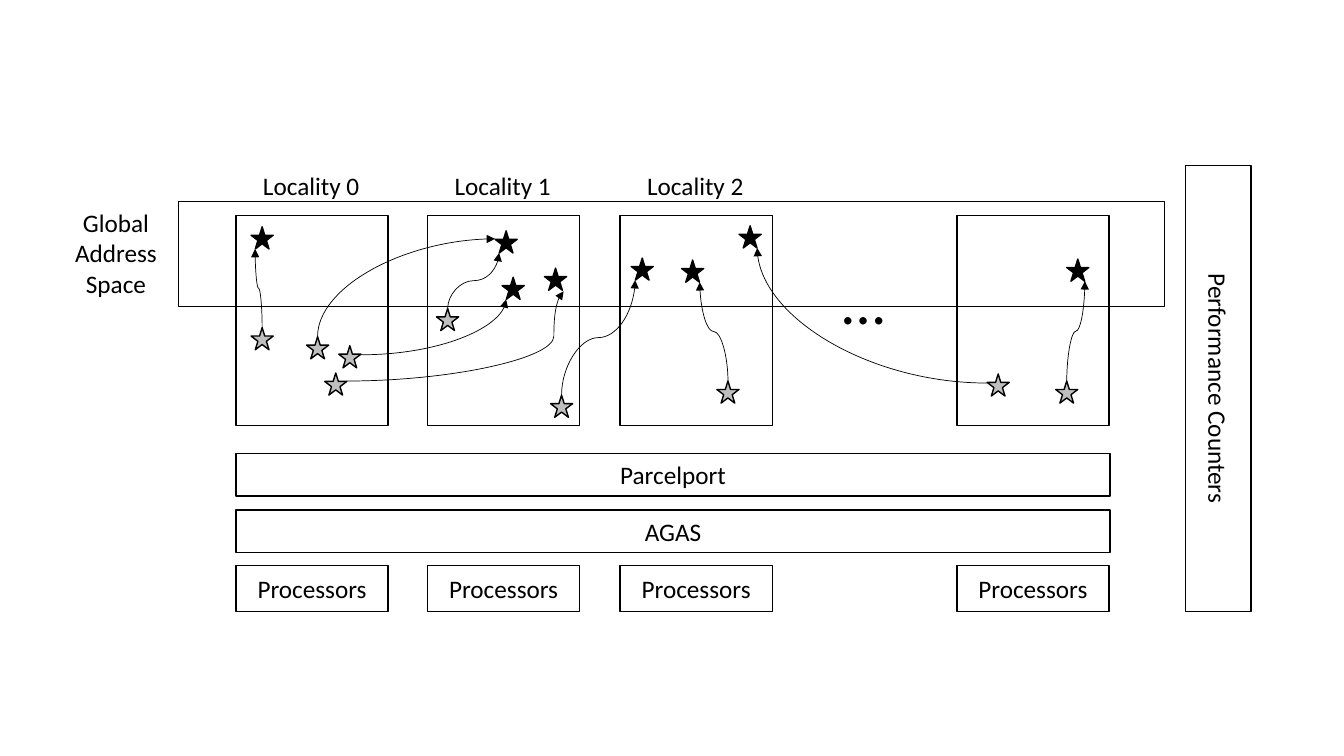
"""Draws localities sharing a global address space above the runtime layers."""
from lxml.etree import SubElement
from pptx import Presentation
from pptx.dml.color import RGBColor
from pptx.enum.shapes import MSO_CONNECTOR, MSO_SHAPE
from pptx.enum.text import MSO_ANCHOR, MSO_AUTO_SIZE, PP_ALIGN
from pptx.oxml.ns import qn
from pptx.util import Inches, Pt


def color(code):
    return RGBColor.from_string(code)


def add_item(kind, left, top, width, height, text="", size=18, align=PP_ALIGN.CENTER, fill=None):
    place = [Inches(value) for value in (left, top, width, height)]
    if kind is None:
        box = page.shapes.add_textbox(*place)
        box.text_frame.word_wrap = False
        box.text_frame.auto_size = MSO_AUTO_SIZE.SHAPE_TO_FIT_TEXT
    else:
        box = page.shapes.add_shape(kind, *place)
        box.shadow.inherit = False
        box.line.color.rgb = color("000000")
        box.line.width = Pt(1)
        box.text_frame.vertical_anchor = MSO_ANCHOR.MIDDLE
        if fill:
            box.fill.solid()
            box.fill.fore_color.rgb = color(fill)
        else:
            box.fill.background()
    if text:
        box.text_frame.text = text
        for para in box.text_frame.paragraphs:
            para.alignment = align
            for span in para.runs:
                span.font.name = "Calibri"
                span.font.size = Pt(size)
                span.font.color.rgb = color("000000")
    return box


deck = Presentation()
deck.slide_width = Inches(13.33)
deck.slide_height = Inches(7.5)
page = deck.slides.add_slide(deck.slide_layouts[6])

locality_lefts = [2.34, 4.24, 6.15, 9.49]
for left in locality_lefts:
    add_item(MSO_SHAPE.RECTANGLE, left, 2.14, 1.51, 2.08)
    add_item(MSO_SHAPE.RECTANGLE, left, 5.61, 1.51, 0.46, "Processors")
for number, left in enumerate(locality_lefts[:3]):
    add_item(None, left + 0.17, 1.64, 1.17, 0.4, f"Locality {number}", align=PP_ALIGN.LEFT)
for layer, top in [("Parcelport", 4.5), ("AGAS", 5.06)]:
    add_item(MSO_SHAPE.RECTANGLE, 2.34, top, 8.67, 0.42, layer)

add_item(None, 8.26, 2.56, 0.63, 0.84, "…", size=44, align=PP_ALIGN.LEFT)
add_item(MSO_SHAPE.RECTANGLE, 1.77, 2, 9.78, 1.04)
add_item(None, 0.64, 2.01, 1.02, 1.01, "Global\nAddress\nSpace")
counters = add_item(MSO_SHAPE.RECTANGLE, 11.76, 1.64, 0.65, 4.43, "Performance Counters")
counters.text_frame._txBody.bodyPr.set("vert", "vert")

global_objects = [
    (2.49, 2.25), (4.91, 2.29), (5.4, 2.66), (4.98, 2.75),
    (6.26, 2.56), (6.76, 2.58), (10.58, 2.57), (7.33, 2.24),
]
local_objects = [
    (2.49, 3.25), (3.04, 3.34), (3.36, 3.43), (3.22, 3.7), (5.46, 3.92),
    (7.11, 3.78), (10.47, 3.78), (9.79, 3.71), (4.33, 3.06),
]
for fill, stars in [("000000", global_objects), ("BFBFBF", local_objects)]:
    for left, top in stars:
        add_item(MSO_SHAPE.STAR_5_POINT, left, top, 0.22, 0.22, fill=fill)

references = [
    (2.6, 3.25, 2.53, 2.47, 270, "curvedConnector3", 50000),
    (3.15, 3.34, 4.91, 2.37, 90, "curvedConnector2", None),
    (3.58, 3.52, 5.02, 2.97, 0, "curvedConnector2", None),
    (3.44, 3.78, 5.59, 2.89, 0, "curvedConnector3", 95500),
    (5.57, 3.92, 6.3, 2.78, 90, "curvedConnector3", 50000),
    (7.22, 3.78, 6.94, 2.8, 270, "curvedConnector3", 50000),
    (10.58, 3.78, 10.76, 2.79, 90, "curvedConnector3", 50000),
    (9.79, 3.8, 7.51, 2.46, 180, "curvedConnector2", None),
    (4.44, 3.06, 4.95, 2.51, 90, "curvedConnector3", 50000),
]
for start_x, start_y, end_x, end_y, turn, curve, bend in references:
    width, height = abs(end_x - start_x), abs(end_y - start_y)
    if turn in (90, 270):
        width, height = height, width
    left = (start_x + end_x - width) / 2
    top = (start_y + end_y - height) / 2
    arrow = page.shapes.add_connector(
        MSO_CONNECTOR.CURVE, Inches(left), Inches(top), Inches(left + width), Inches(top + height)
    )
    arrow.line.color.rgb = color("000000")
    arrow.line.width = Pt(0.5)
    properties = arrow._element.spPr
    frame = properties.find(qn("a:xfrm"))
    frame.set("rot", str(turn * 60000))
    frame.set("flipH", str(int(turn == 90)))
    frame.set("flipV", str(int(turn != 180)))
    geometry = properties.find(qn("a:prstGeom"))
    geometry.set("prst", curve)
    if bend:
        guide = SubElement(geometry.find(qn("a:avLst")), qn("a:gd"))
        guide.set("name", "adj1")
        guide.set("fmla", f"val {bend}")
    SubElement(properties.find(qn("a:ln")), qn("a:tailEnd")).set("type", "triangle")
    SubElement(properties, qn("a:effectLst"))

deck.save("out.pptx")
